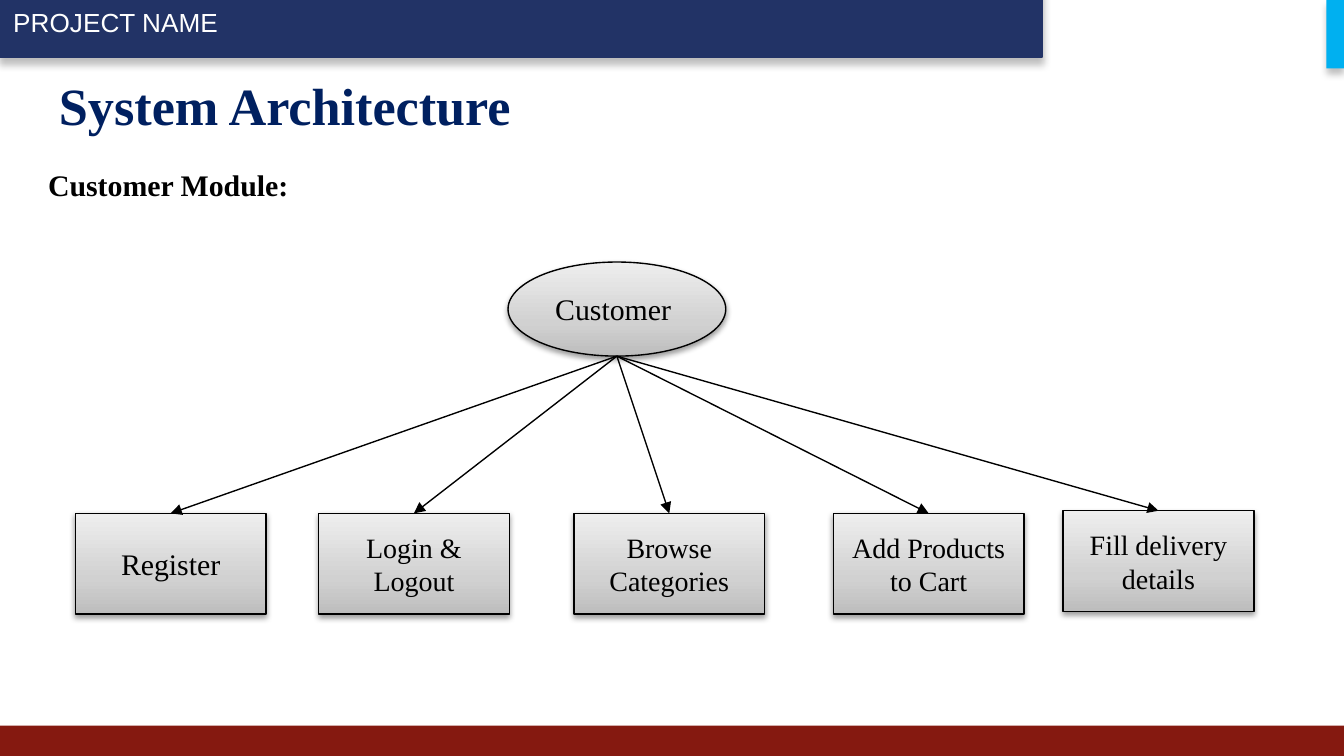
from lxml import etree
from pptx import Presentation
from pptx.dml.color import RGBColor
from pptx.enum.shapes import MSO_CONNECTOR, MSO_SHAPE
from pptx.enum.text import MSO_ANCHOR, PP_ALIGN
from pptx.oxml import parse_xml
from pptx.oxml.ns import qn
from pptx.util import Inches, Pt

RECTANGLE, OVAL = MSO_SHAPE.RECTANGLE, MSO_SHAPE.OVAL
STRAIGHT = MSO_CONNECTOR.STRAIGHT
TOP, MIDDLE, BOTTOM = MSO_ANCHOR.TOP, MSO_ANCHOR.MIDDLE, MSO_ANCHOR.BOTTOM
LEFT, CENTER, JUSTIFY = PP_ALIGN.LEFT, PP_ALIGN.CENTER, PP_ALIGN.JUSTIFY

NAVY = RGBColor(0x22, 0x33, 0x66)
TITLE_BLUE = RGBColor(0x00, 0x20, 0x60)
MAROON = RGBColor(0x85, 0x19, 0x10)
SKY = RGBColor(0x00, 0xB0, 0xF0)
BLACK = RGBColor(0x00, 0x00, 0x00)
WHITE = RGBColor(0xFF, 0xFF, 0xFF)
GREY_STOPS = (
    (0, RGBColor(0xBD, 0xBD, 0xBD)),
    (35, RGBColor(0xD1, 0xD1, 0xD1)),
    (100, RGBColor(0xEE, 0xEE, 0xEE)),
)
SERIF, SANS = "Times New Roman", "Arial"
DRAWING_NS = "http://schemas.openxmlformats.org/drawingml/2006/main"

BOX_WIDTH, BOX_HEIGHT = 1.42, 0.75
# left, top, lines, text size
ACTIONS = (
    (0.56, 3.82, ["Register"], 16),
    (2.37, 3.82, ["Login & Logout"], 15),
    (4.27, 3.82, ["Browse", "Categories"], 15),
    (6.2, 3.82, ["Add Products", "to Cart"], 15),
    (7.91, 3.8, ["Fill delivery details"], 15),
)


def write_text(shape, lines, size, color, font=SERIF, bold=False,
               align=LEFT, anchor=TOP):
    frame = shape.text_frame
    frame.word_wrap = True
    frame.vertical_anchor = anchor
    frame.text = "\n".join(lines)
    for para in frame.paragraphs:
        para.alignment = align
        para.font.name = font
        para.font.size = Pt(size)
        para.font.bold = bold
        para.font.color.rgb = color


def add_shadow(shape, opacity, blur, distance):
    """Give the shape a black shadow that falls straight down."""
    shape.shadow.inherit = False
    effects = shape.element.spPr.find(qn("a:effectLst"))
    effects.append(parse_xml(
        f'<a:outerShdw xmlns:a="{DRAWING_NS}" blurRad="{Pt(blur)}" '
        f'dist="{Pt(distance)}" dir="5400000" rotWithShape="0">'
        f'<a:srgbClr val="000000"><a:alpha val="{opacity * 1000}"/></a:srgbClr>'
        '</a:outerShdw>'))


def fill_grey_gradient(shape):
    shape.fill.gradient()
    shape.fill.gradient_angle = 90
    stops = shape.element.spPr.find(qn("a:gradFill")).find(qn("a:gsLst"))
    for stop in list(stops):
        stops.remove(stop)
    for position, color in GREY_STOPS:
        stop = etree.SubElement(stops, qn("a:gs"), pos=str(position * 1000))
        etree.SubElement(stop, qn("a:srgbClr"), val=str(color))


def add_bar(slide, left, top, width, height, color):
    bar = slide.shapes.add_shape(RECTANGLE, Inches(left), Inches(top),
                                 Inches(width), Inches(height))
    bar.shadow.inherit = False
    bar.fill.solid()
    bar.fill.fore_color.rgb = color
    bar.line.fill.background()
    return bar


def add_text_box(slide, left, top, width, height, text, size, color, **style):
    box = slide.shapes.add_textbox(Inches(left), Inches(top),
                                   Inches(width), Inches(height))
    write_text(box, [text], size, color, bold=True, **style)


def add_node(slide, kind, left, top, width, height, lines, size):
    node = slide.shapes.add_shape(kind, Inches(left), Inches(top),
                                  Inches(width), Inches(height))
    fill_grey_gradient(node)
    node.line.color.rgb = BLACK
    node.line.width = Pt(0.75)
    add_shadow(node, 38, 3.1, 1.6)
    write_text(node, lines, size, BLACK, align=CENTER, anchor=MIDDLE)
    return node


def add_arrow(slide, source, target):
    """Point from the bottom of source to the top of target."""
    start_x = source.left + source.width // 2
    start_y = source.top + source.height
    arrow = slide.shapes.add_connector(STRAIGHT, start_x, start_y,
                                       target.left, target.top)
    arrow.end_connect(target, 0)
    arrow.line.color.rgb = BLACK
    arrow.line.width = Pt(0.75)
    properties = arrow.element.spPr
    line = properties.find(qn("a:ln"))
    etree.SubElement(line, qn("a:tailEnd"), type="triangle")
    etree.SubElement(properties, qn("a:effectLst"))


def add_frame(slide):
    header = add_bar(slide, 0, -0.09, 7.75, 0.51, NAVY)
    header.line.color.rgb = NAVY
    header.line.width = Pt(2)
    add_shadow(header, 25, 4, 3)
    write_text(header, ["PROJECT NAME"], 14, WHITE, font=SANS, anchor=MIDDLE)
    add_bar(slide, 0, 5.4, 10, 0.23, MAROON)
    corner = add_bar(slide, 9.87, 0, 0.13, 0.51, SKY)
    add_shadow(corner, 25, 4, 3)


def main():
    deck = Presentation()
    deck.slide_width = Inches(10)
    deck.slide_height = deck.slide_width * 9 // 16
    slide = deck.slides.add_slide(deck.slide_layouts[6])

    add_frame(slide)
    add_text_box(slide, 0.34, 0.49, 9.32, 0.57, "System Architecture", 28,
                 TITLE_BLUE, anchor=MIDDLE)
    add_text_box(slide, 0.26, 1.19, 9.21, 0.64, "Customer Module:", 16,
                 BLACK, align=JUSTIFY)

    customer = add_node(slide, OVAL, 3.78, 1.95, 1.62, 0.7, ["Customer "], 16)
    boxes = [add_node(slide, RECTANGLE, left, top, BOX_WIDTH, BOX_HEIGHT,
                      lines, size)
             for left, top, lines, size in ACTIONS]
    for box in boxes:
        add_arrow(slide, customer, box)

    deck.save("out.pptx")


if __name__ == "__main__":
    main()
